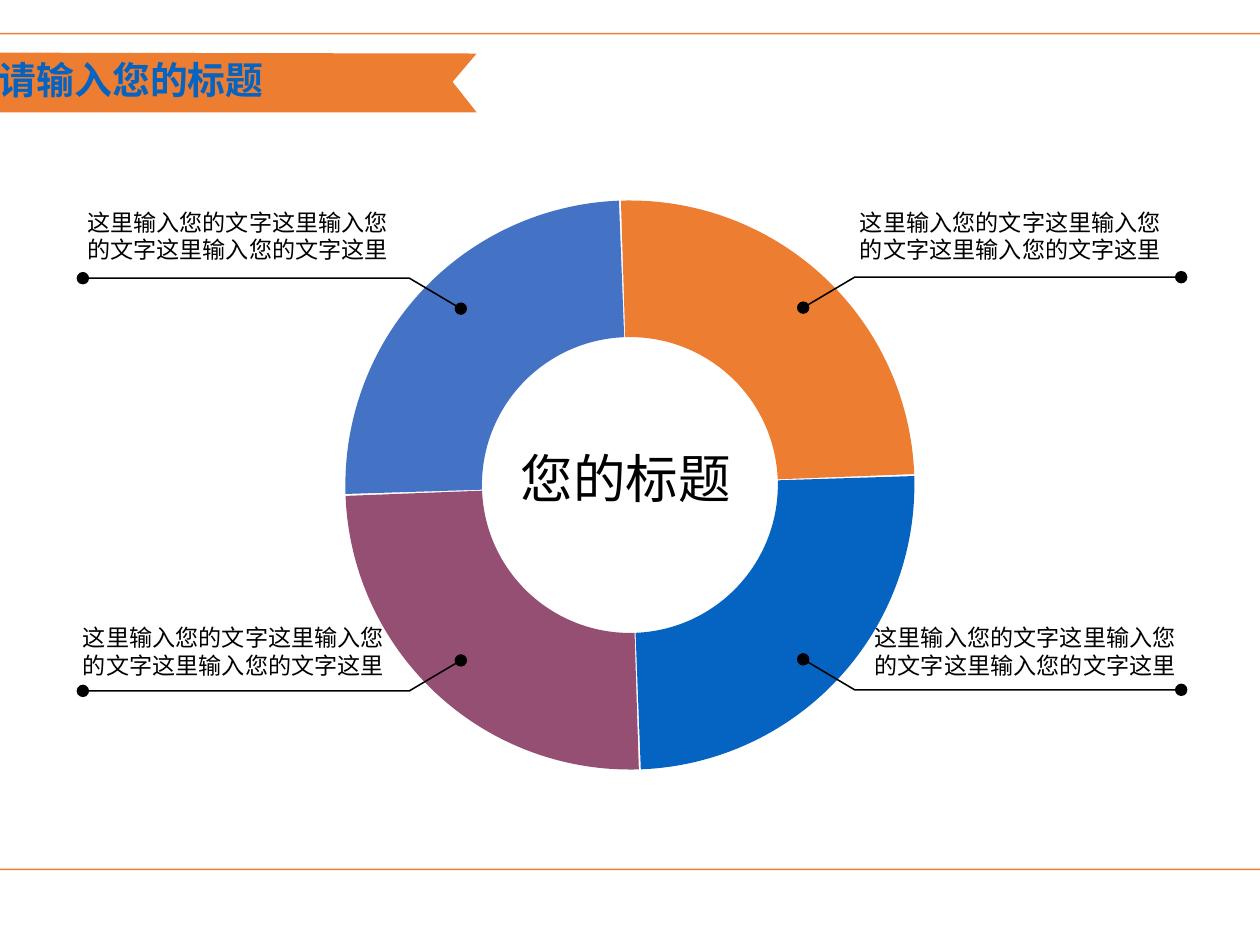
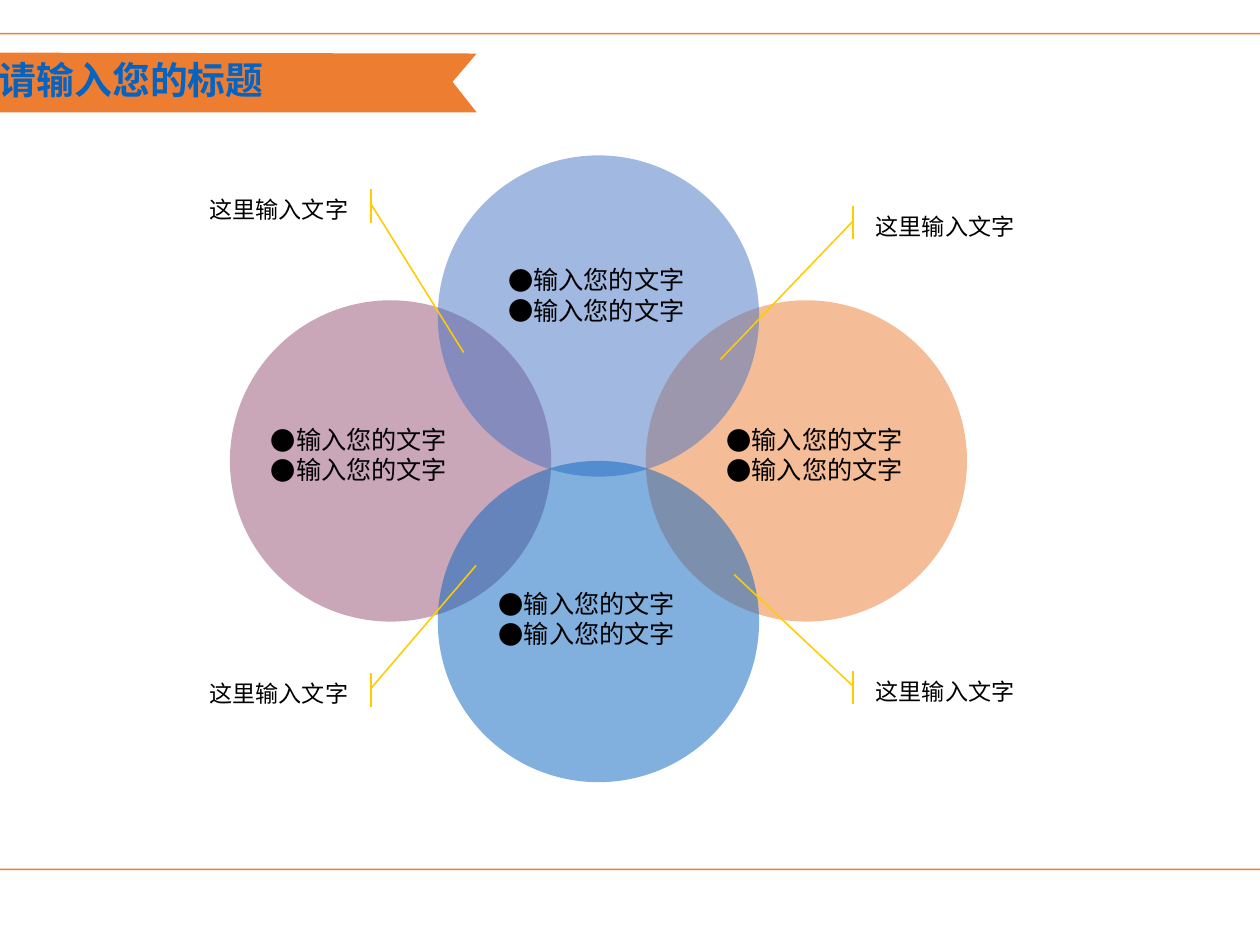
from dataclasses import dataclass

from lxml import etree
from pptx import Presentation
from pptx.dml.color import RGBColor
from pptx.enum.lang import MSO_LANGUAGE_ID
from pptx.enum.shapes import MSO_SHAPE
from pptx.enum.text import MSO_ANCHOR, MSO_AUTO_SIZE, PP_ALIGN
from pptx.oxml.ns import qn
from pptx.util import Pt

ARC = MSO_SHAPE.BLOCK_ARC
OVAL = MSO_SHAPE.OVAL
ROUND = MSO_SHAPE.ROUNDED_RECTANGLE
NOTE = MSO_SHAPE.LINE_CALLOUT_1_ACCENT_BAR
TOP, MIDDLE = MSO_ANCHOR.TOP, MSO_ANCHOR.MIDDLE
LEFT, RIGHT = PP_ALIGN.LEFT, PP_ALIGN.RIGHT
FIXED = MSO_AUTO_SIZE.NONE
CHINESE = MSO_LANGUAGE_ID.SIMPLIFIED_CHINESE


@dataclass(frozen=True)
class Theme:
    orange: str = "ED7D31"
    blue: str = "0563C1"
    steel: str = "4472C4"
    plum: str = "954F72"
    gold: str = "FFCC00"
    black: str = "000000"
    white: str = "FFFFFF"
    font: str = "Arial"
    hanzi: str = "Noto Sans CJK SC"
    head: int = 18
    hub: int = 25
    list: int = 12
    note: int = 11
    rule: float = 0.75


THEME = Theme()


def tint(color):
    return RGBColor.from_string(color)


def paint(shape, fill=None, line=None, alpha=None):
    shape.shadow.inherit = False
    if fill:
        shape.fill.solid()
        shape.fill.fore_color.rgb = tint(fill)
        if alpha:
            node = shape.element.spPr.find(".//" + qn("a:srgbClr"))
            etree.SubElement(node, qn("a:alpha"), val=str(alpha * 1000))
    else:
        shape.fill.background()
    if line:
        shape.line.color.rgb = tint(line)
        shape.line.width = Pt(THEME.rule)
    else:
        shape.line.fill.background()
    return shape


def draw(shapes, kind, box, adjust=(), **look):
    shape = shapes.add_shape(kind, *map(Pt, box))
    for index, value in enumerate(adjust):
        shape.adjustments[index] = value
    return paint(shape, **look)


def trace(slide, points, close, **look):
    spots = [(Pt(x), Pt(y)) for x, y in points]
    path = slide.shapes.build_freeform(*spots[0], scale=1.0)
    path.add_line_segments(spots[1:], close=close)
    return paint(path.convert_to_shape(), **look)


def bullet(para):
    props = para._p.get_or_add_pPr()
    props.set("marL", str(Pt(THEME.list)))
    props.set("indent", str(-Pt(THEME.list)))
    etree.SubElement(props, qn("a:buFont"), typeface=THEME.hanzi)
    etree.SubElement(props, qn("a:buChar"), char="●")


def write(shape, lines, size, color=THEME.black, bold=False, align=LEFT,
          anchor=TOP, font=THEME.font, dots=False):
    frame = shape.text_frame
    frame.auto_size = FIXED
    frame.word_wrap = True
    frame.vertical_anchor = anchor
    frame.margin_left = frame.margin_right = Pt(6)
    frame.margin_top = frame.margin_bottom = Pt(3)
    frame.text = "\n".join(lines)
    for para in frame.paragraphs:
        para.alignment = align
        if dots:
            bullet(para)
        style = para.font
        style.size = Pt(size)
        style.bold = bold
        style.color.rgb = tint(color)
        style.name = font
        style.language_id = CHINESE
        node = para._p.pPr.find(qn("a:defRPr"))
        etree.SubElement(node, qn("a:ea"), typeface=THEME.font)


def label(slide, box, lines, size, **look):
    write(slide.shapes.add_textbox(*map(Pt, box)), lines, size, **look)


def start(deck, text):
    slide = deck.slides.add_slide(deck.slide_layouts[5])
    draw(slide.shapes, ROUND, (-20, 16, 644, 398), [0.027],
         fill=THEME.white, line=THEME.orange, alpha=70)
    trace(slide, [(-35, 53.5), (227, 53.5), (215.5, 39), (227, 25.5), (-35, 25)],
          True, fill=THEME.orange)
    title = slide.shapes.title
    title.element.getparent().append(title.element)
    title.left, title.top, title.width, title.height = map(Pt, (-6.5, 24.5, 194, 27))
    write(title, [text], THEME.head, THEME.blue, bold=True, anchor=MIDDLE)
    return slide


def ring(slide, box, text):
    left, top, width, height = box
    group = slide.shapes.add_group_shape()
    colors = (THEME.orange, THEME.blue, THEME.plum, THEME.steel)
    for index, color in enumerate(colors):
        first = (268.2 + 90 * index) % 360
        last = (first + 89.6) % 360
        draw(group.shapes, ARC, box, [first * 0.6, last * 0.6, 0.24], fill=color)
    label(slide, (left + width / 2 - 58, top + height / 2 - 21.5, 115, 36),
          [text], THEME.hub)


def leader(slide, box, flip, rise):
    left, top, width, height = box
    flat, tip = (top + height, top) if rise else (top, top + height)
    points = [(width, tip), (width - 24.5, flat), (0, flat)]
    spots = [(left + (width - x if flip else x), y) for x, y in points]
    shape = trace(slide, spots, False, line=THEME.black)
    for end in ("a:headEnd", "a:tailEnd"):
        etree.SubElement(shape.line._get_or_add_ln(), qn(end), type="oval")


def donut(deck):
    slide = start(deck, "请输入您的标题")
    ring(slide, (164.5, 95.5, 271, 271), "您的标题")
    text = "这里输入您的文字" * 3 + "这里"
    notes = [
        (39.5, 132.5, False, False, 35.5, 96),
        (382.5, 132, True, False, 403.5, 96),
        (39.5, 314.5, False, True, 33.5, 294),
        (382.5, 314, True, True, 410.5, 294),
    ]
    for left, top, flip, rise, edge, head in notes:
        leader(slide, (left, top, 180, 14.5), flip, rise)
        label(slide, (edge, head, 159, 32), [text], THEME.note)


def venn(slide, box):
    left, top, width, height = box
    size = 153
    right, base = width - size, height - size
    discs = [
        (0, 69, THEME.plum, 13.5, 56),
        (right, 69, THEME.orange, 32.5, 56),
        (right / 2, 0, THEME.steel, 27.5, 49),
        (right / 2, base, THEME.blue, 23, 57.5),
    ]
    for x, y, color, *_ in discs:
        draw(slide.shapes, OVAL, (left + x, top + y, size, size),
             fill=color, alpha=50)
    for x, y, _, across, down in discs:
        label(slide, (left + x + across, top + y + down, 104, 35),
              ["输入您的文字"] * 2, THEME.list, font=THEME.hanzi, dots=True)


def circles(deck):
    slide = start(deck, "请输入您的标题")
    venn(slide, (109.5, 74, 351, 298.5))
    notes = [
        (411, 98, LEFT, (-0.044, 4.581, -0.629)),
        (64, 90, RIGHT, (1.044, 4.874, 1.452)),
        (411, 319.5, LEFT, (-0.044, -2.869, -0.568)),
        (64, 320.5, RIGHT, (1.044, -3.207, 1.507)),
    ]
    for left, top, align, bend in notes:
        shape = draw(slide.shapes, NOTE, (left, top, 108, 16),
                     (0.455, *bend), line=THEME.gold)
        write(shape, ["这里输入文字"], THEME.note, align=align)


def main():
    deck = Presentation()
    deck.slide_width, deck.slide_height = Pt(600), Pt(450)
    donut(deck)
    circles(deck)
    deck.save("out.pptx")


if __name__ == "__main__":
    main()
